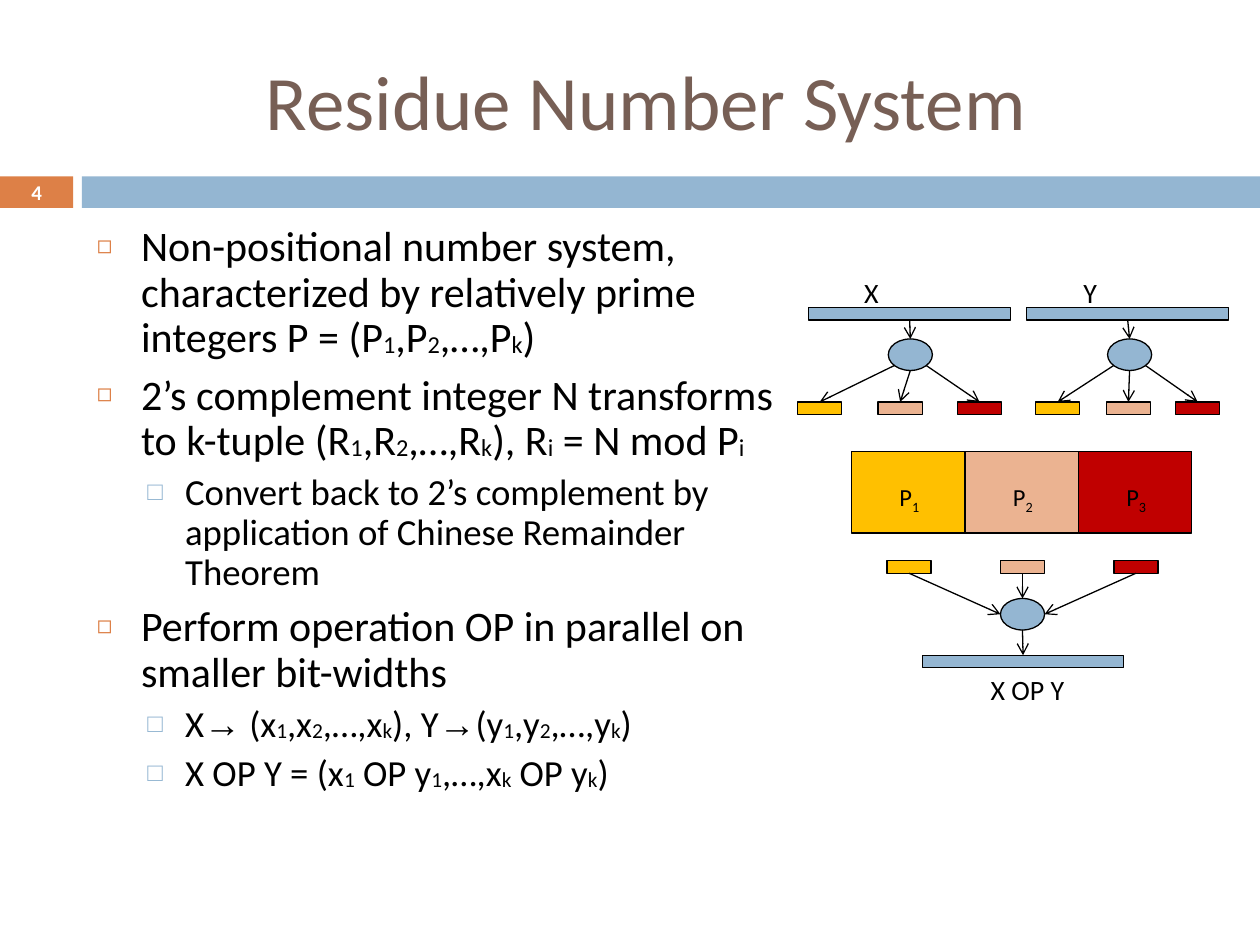
"""Build the slide that explains the residue number system."""

from dataclasses import dataclass
from itertools import groupby

from lxml import etree
from pptx import Presentation
from pptx.dml.color import RGBColor
from pptx.enum.shapes import MSO_CONNECTOR, MSO_SHAPE
from pptx.enum.text import MSO_ANCHOR, MSO_AUTO_SIZE, PP_ALIGN
from pptx.oxml.ns import qn
from pptx.util import Pt

RECT, OVAL = MSO_SHAPE.RECTANGLE, MSO_SHAPE.OVAL
STRAIGHT = MSO_CONNECTOR.STRAIGHT
LEFT, CENTER = PP_ALIGN.LEFT, PP_ALIGN.CENTER
TOP, MIDDLE = MSO_ANCHOR.TOP, MSO_ANCHOR.MIDDLE
NO_FIT = MSO_AUTO_SIZE.NONE

COLORS = {
    "title": "775F55", "ink": "000000", "white": "FFFFFF",
    "orange": "DD8047", "blue": "94B6D2",
    "p1": "FFC000", "p2": "EBB391", "p3": "C00000",
}
MODULI = ("p1", "p2", "p3")
BAR_W, CHIP_W, THIN_H = 115.2, 25.2, 7.2
NODE_W, NODE_H = 25.2, 18


@dataclass(frozen=True)
class Box:
    left: float
    top: float
    width: float
    height: float

    @property
    def center(self) -> float:
        return self.left + self.width / 2

    @property
    def middle(self) -> float:
        return self.top + self.height / 2

    @property
    def bottom(self) -> float:
        return self.top + self.height

    def lengths(self) -> tuple:
        return tuple(Pt(v) for v in (self.left, self.top, self.width, self.height))


@dataclass(frozen=True)
class Level:
    number: int
    size: float
    before: float
    indent: float
    hang: float
    bullet: str
    color: str
    percent: int


@dataclass(frozen=True)
class Operand:
    name: str
    label_left: float
    bar_left: float
    node_left: float
    chip_lefts: tuple


MAIN = Level(0, 24, 7, 25.2, 25.2, "◻", "orange", 60)
SUB = Level(1, 21, 5.5, 50.4, 21.6, "□", "blue", 70)
POINTS = (
    (MAIN, "Non-positional number system, characterized by relatively prime "
           "integers P = (P_1,P_2,…,P_k)"),
    (MAIN, "2’s complement integer N transforms to k-tuple (R_1,R_2,…,R_k), "
           "R_i = N mod P_i"),
    (SUB, "Convert back to 2’s complement by application of Chinese Remainder Theorem"),
    (MAIN, "Perform operation OP in parallel on smaller bit-widths"),
    (SUB, "X→ (x_1,x_2,…,x_k), Y→(y_1,y_2,…,y_k)"),
    (SUB, "X OP Y = (x_1 OP y_1,…,x_k OP y_k)"),
)
OPERANDS = (
    Operand("X", 486.7, 462.2, 507.6, (455.8, 501.8, 547.2)),
    Operand("Y", 612, 586.8, 632.9, (591.8, 632.2, 671.8)),
)


def rgb(color: str) -> RGBColor:
    return RGBColor.from_string(COLORS[color])


def apply(target, values: dict) -> None:
    for attribute, value in values.items():
        setattr(target, attribute, value)


def write(paragraph, text: str, size: float, color: str = "ink",
          bold: bool = False, drop: int = -25) -> None:
    """Add runs to a paragraph; an underscore lowers the character after it."""
    styled = [(char, "low" if before == "_" else "arrow" if char == "→" else "plain")
              for before, char in zip(" " + text, text) if char != "_"]
    for style, chars in groupby(styled, key=lambda pair: pair[1]):
        run = paragraph.add_run()
        run.text = "".join(char for char, _ in chars)
        apply(run.font, {"size": Pt(size), "bold": bold,
                         "name": "Arial" if style == "arrow" else "Calibri"})
        run.font.color.rgb = rgb(color)
        if style == "low":
            run._r.get_or_add_rPr().set("baseline", str(drop * 1000))


def place(holder, box: Box, anchor) -> None:
    for side, length in zip(("left", "top", "width", "height"), box.lengths()):
        setattr(holder, side, length)
    apply(holder.text_frame, {"word_wrap": True, "auto_size": NO_FIT,
                              "vertical_anchor": anchor})


def add_label(slide, box: Box, text: str, size: float, align=LEFT, anchor=TOP,
              color: str = "ink", bold: bool = False) -> None:
    label = slide.shapes.add_textbox(*box.lengths())
    place(label, box, anchor)
    paragraph = label.text_frame.paragraphs[0]
    paragraph.alignment = align
    write(paragraph, text, size, color, bold)


def add_block(slide, box: Box, color: str, kind=RECT, outlined: bool = True) -> Box:
    block = slide.shapes.add_shape(kind, *box.lengths())
    block.shadow.inherit = False
    block.fill.solid()
    block.fill.fore_color.rgb = rgb(color)
    if outlined:
        block.line.color.rgb = rgb("ink")
        block.line.width = Pt(0.75)
    else:
        block.line.fill.background()
    return box


def add_arrow(slide, x1: float, y1: float, x2: float, y2: float) -> None:
    arrow = slide.shapes.add_connector(STRAIGHT, Pt(x1), Pt(y1), Pt(x2), Pt(y2))
    arrow.line.color.rgb = rgb("ink")
    arrow.line.width = Pt(0.75)
    etree.SubElement(arrow.line._get_or_add_ln(), qn("a:tailEnd"), type="arrow")
    etree.SubElement(arrow._element.spPr, qn("a:effectLst"))


def add_point(paragraph, level: Level, text: str, first: bool) -> None:
    properties = paragraph._p.get_or_add_pPr()
    properties.set("marL", str(Pt(level.indent)))
    properties.set("indent", str(-Pt(level.hang)))
    bullet_color = etree.SubElement(properties, qn("a:buClr"))
    etree.SubElement(bullet_color, qn("a:srgbClr"), val=COLORS[level.color])
    etree.SubElement(properties, qn("a:buSzPct"), val=str(level.percent * 1000))
    etree.SubElement(properties, qn("a:buChar"), char=level.bullet)
    apply(paragraph, {"level": level.number, "alignment": LEFT, "line_spacing": 0.9,
                      "space_before": Pt(0 if first else level.before)})
    write(paragraph, text, level.size, drop=-3)


def draw_text(slide) -> None:
    title, body = slide.shapes.title, slide.placeholders[1]
    place(title, Box(48.2, 18, 642.2, 77.8), MIDDLE)
    heading = title.text_frame.paragraphs[0]
    heading.alignment = CENTER
    write(heading, "Residue Number System", 44, "title")
    place(body, Box(48.2, 125.3, 414, 360), TOP)
    for index, (level, text) in enumerate(POINTS):
        frame = body.text_frame
        paragraph = frame.add_paragraph() if index else frame.paragraphs[0]
        add_point(paragraph, level, text, index == 0)


def draw_operand(slide, operand: Operand) -> None:
    bar = add_block(slide, Box(operand.bar_left, 175.7, BAR_W, THIN_H), "blue")
    node = add_block(slide, Box(operand.node_left, 193.7, NODE_W, NODE_H), "blue", OVAL)
    add_label(slide, Box(operand.label_left, 154.1, 30.2, 26.6), operand.name, 16)
    add_arrow(slide, bar.center, bar.bottom, node.center, node.top)
    exits = ((-9, -2.9), (0, 0), (9, -2.9))
    for color, left, (dx, dy) in zip(MODULI, operand.chip_lefts, exits):
        chip = add_block(slide, Box(left, 229.7, CHIP_W, THIN_H), color)
        add_arrow(slide, node.center + dx, node.bottom + dy, chip.center, chip.top)


def draw_result(slide) -> None:
    node = add_block(slide, Box(571.7, 342, NODE_W, NODE_H), "blue", OVAL)
    bar = add_block(slide, Box(527, 374.4, BAR_W, THIN_H), "blue")
    entries = ((node.left, node.middle), (node.center, node.top),
               (node.left + node.width, node.middle))
    for index, (color, entry) in enumerate(zip(MODULI, entries)):
        channel = add_block(slide, Box(486.7 + 64.8 * index, 257.8, 64.8, 46.8), color)
        chip = add_block(slide, Box(channel.left + 20.2, 320.4, CHIP_W, THIN_H), color)
        add_label(slide, Box(chip.left, 271.8, 30.2, 26.6), f"P_{index + 1}", 14)
        add_arrow(slide, chip.center, chip.bottom, *entry)
    add_arrow(slide, node.center, node.bottom, bar.center, bar.top)
    add_label(slide, Box(547.2, 380.9, 79.9, 26.6), "X OP Y", 16, CENTER)


def main() -> None:
    deck = Presentation()
    apply(deck, {"slide_width": Pt(720), "slide_height": Pt(540)})
    slide = deck.slides.add_slide(deck.slide_layouts[1])
    draw_text(slide)
    number_band = add_block(slide, Box(0, 100.8, 41.8, 18), "orange", outlined=False)
    add_block(slide, Box(46.8, 100.8, 673.2, 18), "blue", outlined=False)
    add_label(slide, number_band, "4", 12, CENTER, MIDDLE, "white", True)
    for operand in OPERANDS:
        draw_operand(slide, operand)
    draw_result(slide)
    deck.save("out.pptx")


if __name__ == "__main__":
    main()
